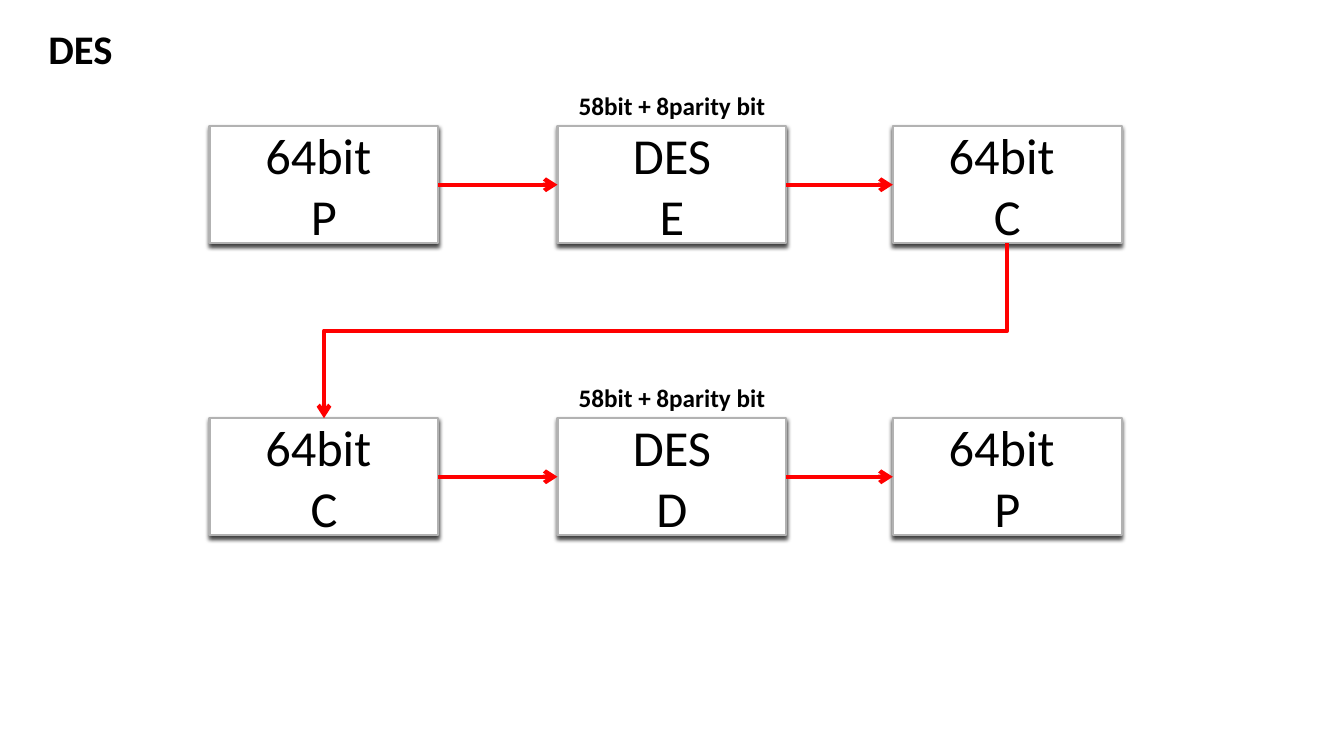
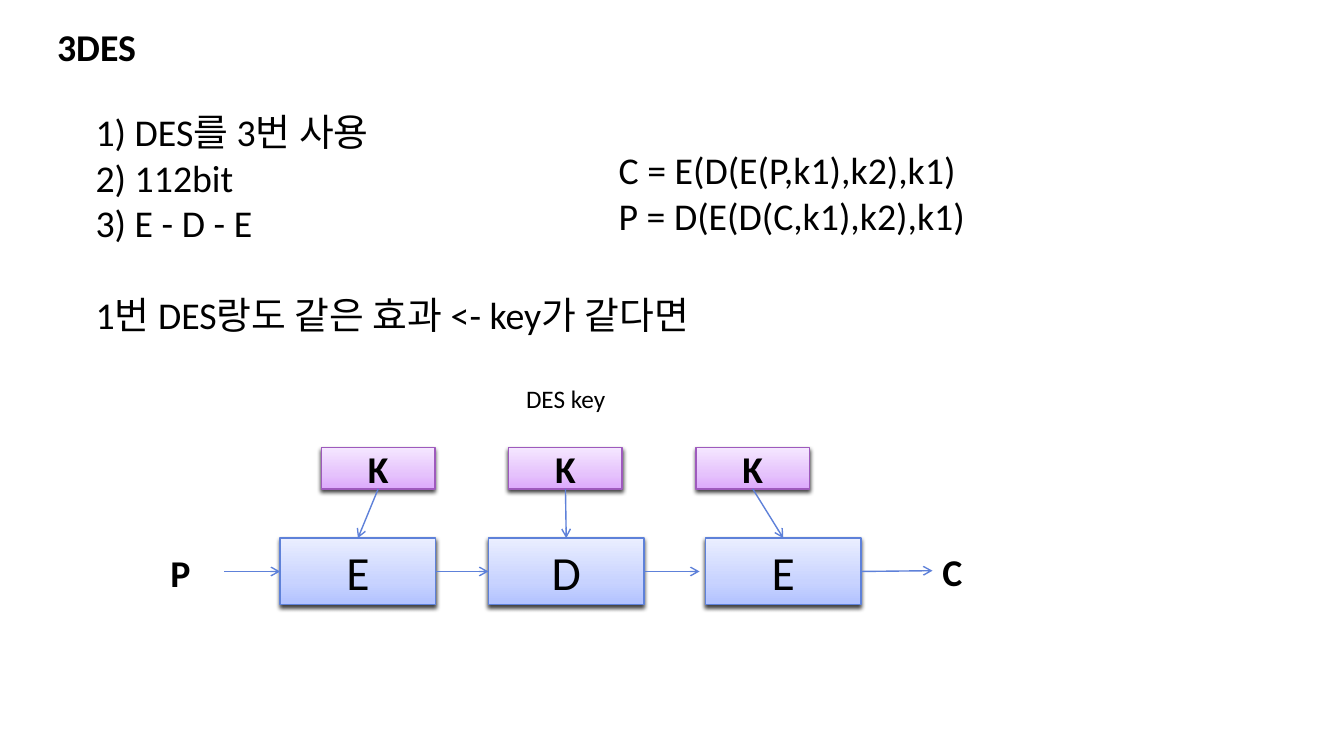
from copy import deepcopy

from lxml import etree
from pptx import Presentation
from pptx.dml.color import RGBColor
from pptx.enum import shapes, text
from pptx.oxml.ns import qn
from pptx.util import Cm, Pt

FONT = "Calibri"
BLACK = RGBColor(0x00, 0x00, 0x00)
WHITE = RGBColor(0xFF, 0xFF, 0xFF)
GREY = RGBColor(0xB2, 0xB2, 0xB2)
RED = RGBColor(0xFF, 0x00, 0x00)
BLUE = RGBColor(0x5E, 0x81, 0xD9)
PURPLE = RGBColor(0x9E, 0x5A, 0xBD)
# Gradient colours run from the bottom edge to the top edge.
BLUE_FADE = [RGBColor(0xB2, 0xC2, 0xFF), RGBColor(0xC8, 0xD3, 0xFF), RGBColor(0xEA, 0xEE, 0xFF)]
PURPLE_FADE = [RGBColor(0xDC, 0xA8, 0xFC), RGBColor(0xE5, 0xC2, 0xFC), RGBColor(0xF5, 0xE7, 0xFF)]
FADE_STOPS = (0, 0.35, 1)

LEFT, CENTER = text.PP_ALIGN.LEFT, text.PP_ALIGN.CENTER
TOP_ANCHOR, MIDDLE = text.MSO_ANCHOR.TOP, text.MSO_ANCHOR.MIDDLE
STRAIGHT, ELBOW = shapes.MSO_CONNECTOR.STRAIGHT, shapes.MSO_CONNECTOR.ELBOW
TOP, LEFT_SIDE, BOTTOM, RIGHT_SIDE = range(4)


def put(s, words, left, top, width, height, *, size, bold=False, align=LEFT,
        anchor=TOP_ANCHOR, fill=None, line=None, line_width=1):
    """Add a text box or, when a line colour is given, a shadowed rectangle. Lengths in cm."""
    place = [Cm(v) for v in (left, top, width, height)]
    if line is None:
        sp = s.shapes.add_textbox(*place)
    else:
        sp = s.shapes.add_shape(shapes.MSO_SHAPE.RECTANGLE, *place)
        if isinstance(fill, RGBColor):
            sp.fill.solid()
            sp.fill.fore_color.rgb = fill
        else:
            sp.fill.gradient()
            sp.fill.gradient_angle = 90
            stops = sp._element.spPr.find(".//" + qn("a:gsLst"))
            stops.insert(1, deepcopy(stops[0]))
            for stop, color, position in zip(sp.fill.gradient_stops, fill, FADE_STOPS):
                stop.color.rgb = color
                stop.position = position
        sp.line.color.rgb = line
        sp.line.width = Pt(line_width)
        sp.shadow.inherit = False
        shadow = etree.SubElement(sp._element.spPr.find(qn("a:effectLst")), qn("a:outerShdw"),
                                  blurRad=str(Pt(3)), dist=str(Pt(2)), dir="5400000", rotWithShape="0")
        color = etree.SubElement(shadow, qn("a:srgbClr"), val=str(BLACK))
        etree.SubElement(color, qn("a:alpha"), val="75000")
    tf = sp.text_frame
    tf.word_wrap = True
    tf.vertical_anchor = anchor
    tf.text = words
    for p in tf.paragraphs:
        p.alignment = align
        for r in p.runs:
            r.font.name = FONT
            r.font.size = Pt(size)
            r.font.bold = bold
            r.font.color.rgb = BLACK
    return sp


def arrow(s, start, end, color, width, kind=STRAIGHT):
    """Draw an arrow; each end is an (x, y) point in cm or a (shape, side) pair."""
    c = s.shapes.add_connector(kind, 0, 0, 0, 0)
    if isinstance(start[0], (int, float)):
        c.begin_x, c.begin_y = Cm(start[0]), Cm(start[1])
    else:
        c.begin_connect(*start)
    if isinstance(end[0], (int, float)):
        c.end_x, c.end_y = Cm(end[0]), Cm(end[1])
    else:
        c.end_connect(*end)
    c.line.color.rgb = color
    c.line.width = Pt(width)
    etree.SubElement(c.line._get_or_add_ln(), qn("a:tailEnd"), type="arrow")
    etree.SubElement(c._element.spPr, qn("a:effectLst"))
    return c


prs = Presentation()
prs.slide_width, prs.slide_height = Cm(33.87), Cm(19.05)
blank = prs.slide_layouts[6]

# Slide 1: DES encryption above, decryption below
s = prs.slides.add_slide(blank)
put(s, "DES", 0.97, 0.48, 2.34, 1.47, size=29, bold=True)

box_lefts = (5.28, 14.05, 22.5)
box_width, box_height = 5.77, 2.95
row_tops = (3.18, 10.54)
rows = (("64bit \nP", "DES\nE", "64bit \nC"),
        ("64bit \nC", "DES\nD", "64bit \nP"))
for top, names in zip(row_tops, rows):
    boxes = [put(s, name, left, top, box_width, box_height, size=36, align=CENTER,
                 anchor=MIDDLE, fill=WHITE, line=GREY, line_width=1.5)
             for name, left in zip(names, box_lefts)]
    for a, b in zip(boxes, boxes[1:]):
        arrow(s, (a, RIGHT_SIDE), (b, LEFT_SIDE), RED, 3)
    put(s, "58bit + 8parity bit", box_lefts[1], top - 1.02, box_width, 1.02,
        size=18, bold=True, align=CENTER)

# The elbow leaves downwards, so it is laid out sideways and turned by 90 degrees.
center_x = (box_lefts[0] + box_lefts[2] + box_width) / 2
center_y = (row_tops[0] + box_height + row_tops[1]) / 2
half_drop = (row_tops[1] - row_tops[0] - box_height) / 2
half_run = (box_lefts[2] - box_lefts[0]) / 2
elbow = arrow(s, (center_x - half_drop, center_y - half_run),
              (center_x + half_drop, center_y + half_run), RED, 3, kind=ELBOW)
elbow._element.spPr.find(qn("a:xfrm")).set("rot", "5400000")

# Slide 2: 3DES
s = prs.slides.add_slide(blank)
put(s, "3DES", 1.19, 0.48, 4.45, 1.37, size=27, bold=True)
notes = put(s, "1) DES를 3번 사용\n2) 112bit\n3) E - D - E\n1번 DES랑도 같은 효과 <- key가 같다면",
            2.16, 2.62, 19.5, 5.94, size=27)
notes.text_frame.paragraphs[-1].space_before = Pt(33)
put(s, "C = E(D(E(P,k1),k2),k1)\nP = D(E(D(C,k1),k2),k1)", 15.34, 3.58, 10.13, 2.51, size=27)

put(s, "DES key", 12.3, 9.53, 3.91, 1.02, size=18, align=CENTER)
put(s, "P", 3.43, 13.72, 2.24, 1.37, size=27, bold=True, align=CENTER)
put(s, "C", 23.5, 13.69, 2.24, 1.4, size=27, bold=True)

stages = []
for i, (name, left) in enumerate((("E", 7.06), ("D", 12.31), ("E", 17.78))):
    stage = put(s, name, left, 13.56, 3.92, 1.68, size=34, align=CENTER,
                fill=BLUE_FADE, line=BLUE)
    key = put(s, "K", 8.1 + 4.72 * i, 11.28, 2.86, 1.04, size=27, bold=True, align=CENTER,
              anchor=MIDDLE, fill=PURPLE_FADE, line=PURPLE)
    arrow(s, (key, BOTTOM), (stage, TOP), BLUE, 1)
    stages.append(stage)

first, second, third = stages
for start, end in (((5.65, 14.4), (first, LEFT_SIDE)),
                   ((first, RIGHT_SIDE), (second, LEFT_SIDE)),
                   ((second, RIGHT_SIDE), (17.63, 14.4)),
                   ((third, RIGHT_SIDE), (23.5, 14.38))):
    arrow(s, start, end, BLUE, 1)

prs.save("out.pptx")
